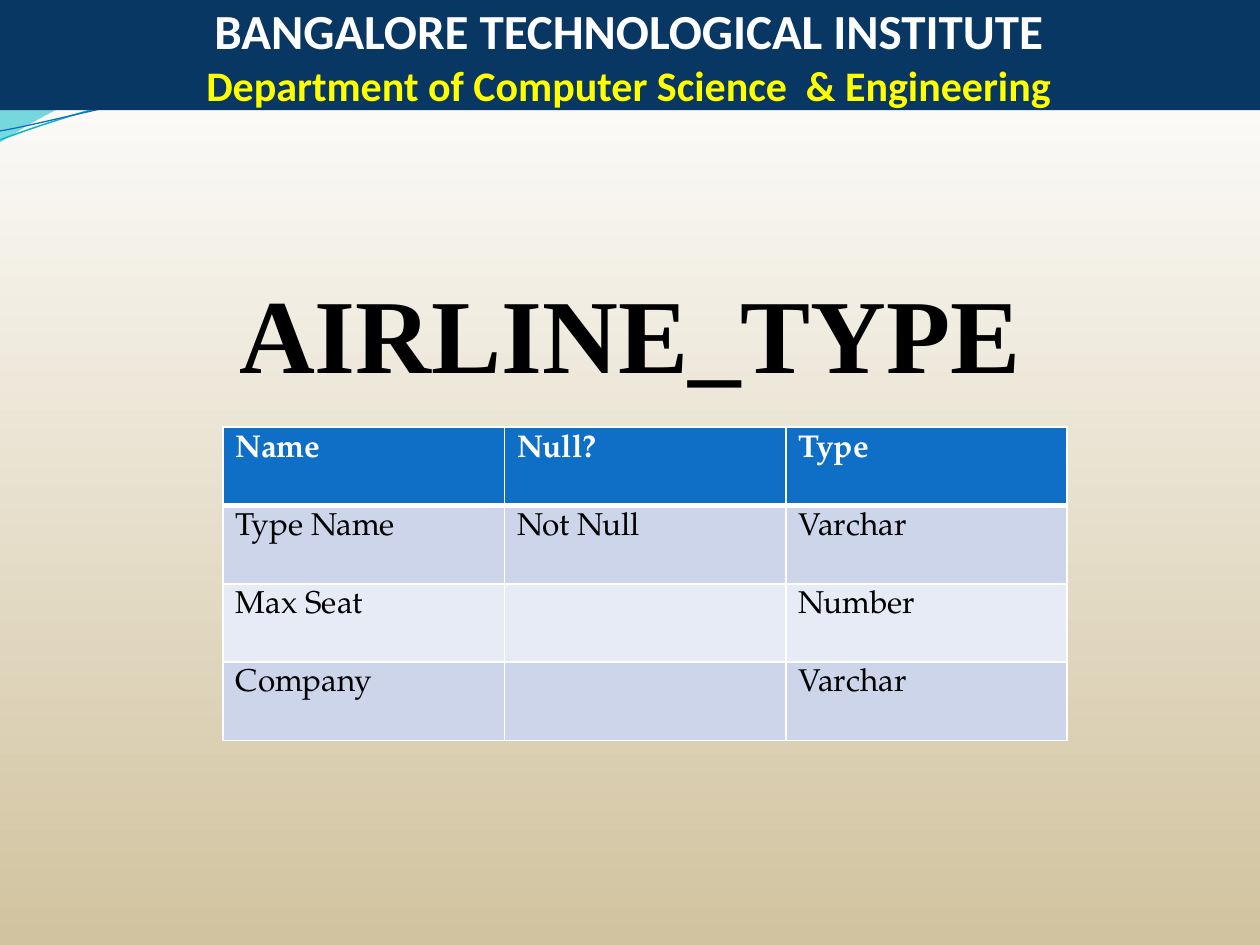
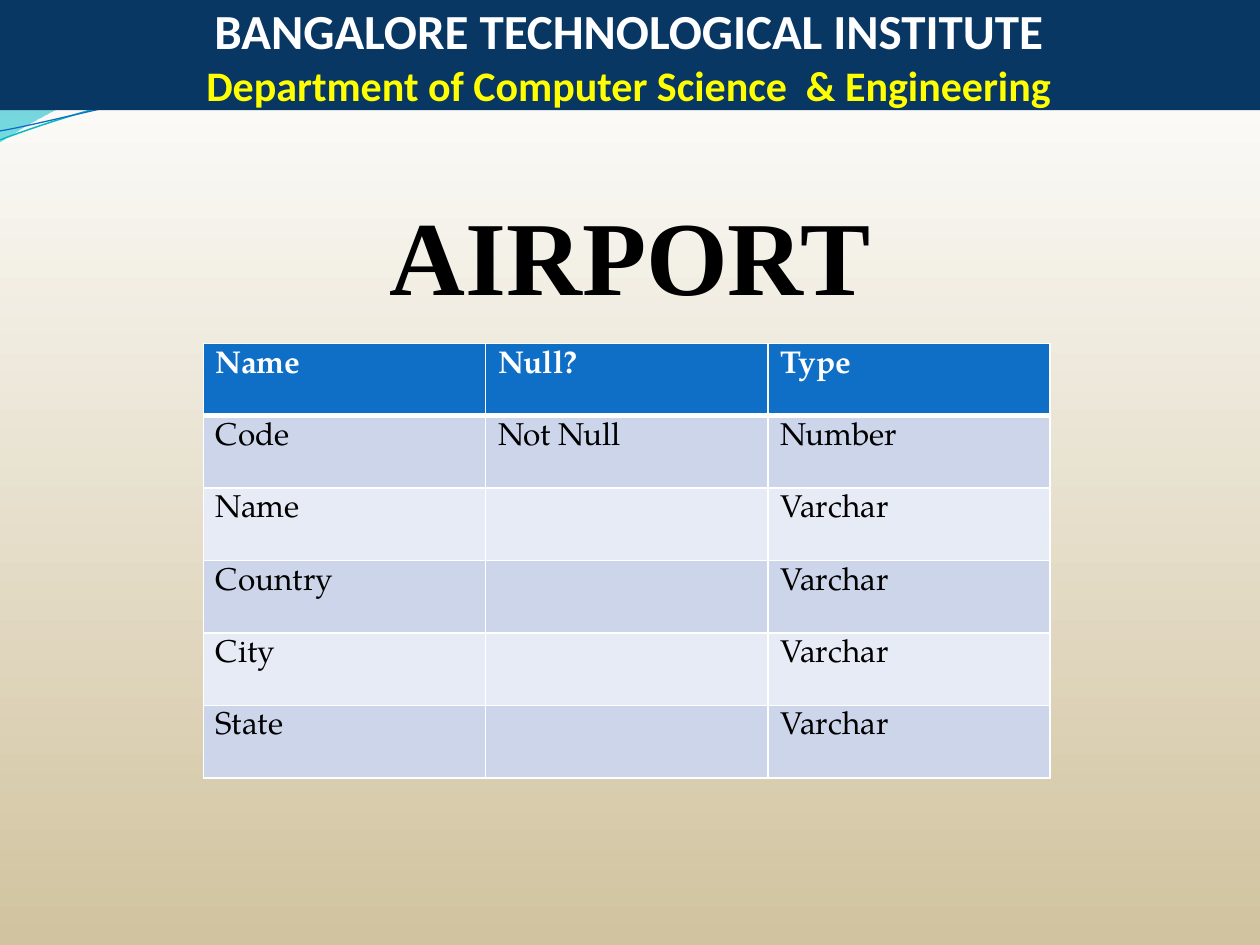
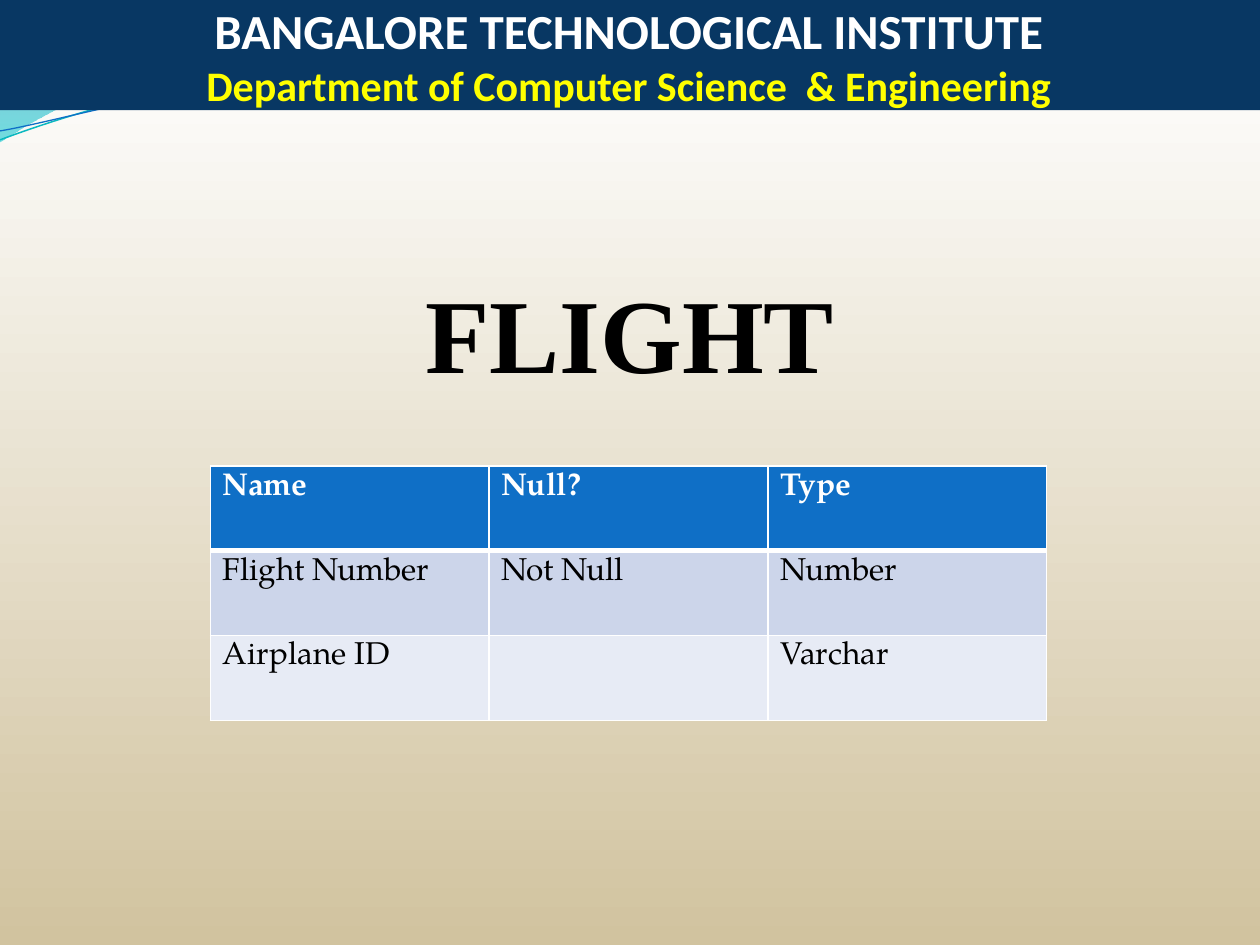
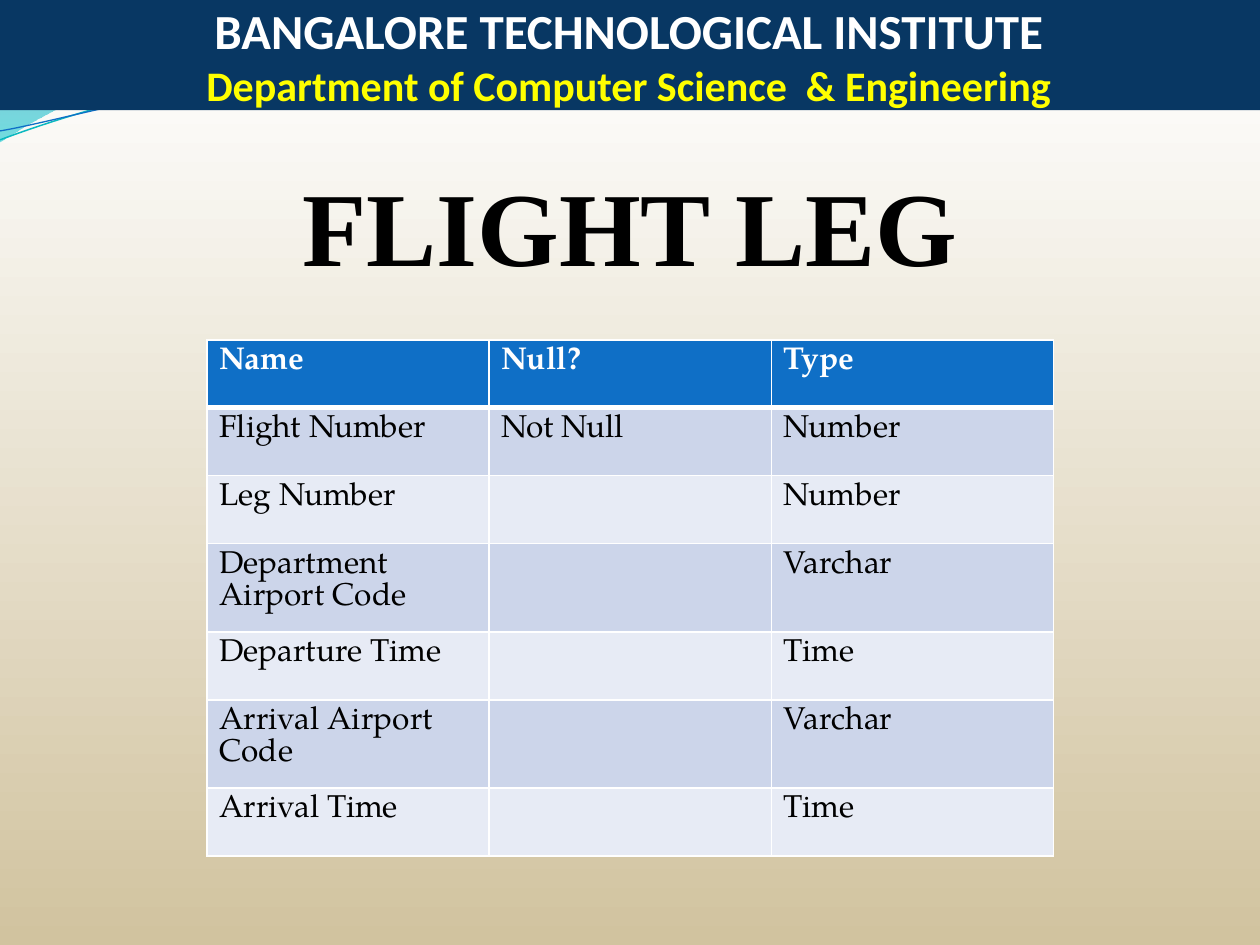
from lxml.etree import SubElement
from pptx import Presentation
from pptx.dml.color import RGBColor
from pptx.enum.shapes import MSO_SHAPE
from pptx.enum.text import MSO_ANCHOR, PP_ALIGN
from pptx.oxml import parse_xml
from pptx.oxml.ns import nsdecls, qn
from pptx.util import Cm, Pt

WHITE = RGBColor(0xFF, 0xFF, 0xFF)
BLACK = RGBColor(0, 0, 0)
SAND = RGBColor(0xD1, 0xC3, 0x9F)
NAVY = RGBColor(0x08, 0x37, 0x63)
YELLOW = RGBColor(0xFF, 0xFF, 0)
BLUE = RGBColor(0x0F, 0x6F, 0xC6)
TEAL = RGBColor(0x0A, 0xB8, 0xBF)
DEEP = RGBColor(0, 0x74, 0xA1)
AQUA = RGBColor(0, 0xC6, 0xCF)
GREEN = RGBColor(0, 0xA1, 0xA9)
SEA = RGBColor(0, 0x8B, 0xBF)
DARK = RGBColor(0xCC, 0xD5, 0xEA)
LIGHT = RGBColor(0xE7, 0xEB, 0xF5)

WIDTH, HEIGHT = Cm(25.4), Cm(19.05)
HEAD = ("Name", "Null?", "Type")

# Outlines in cm: a start, then line ends (2 numbers) or Bézier curves (6)
# Waves: gradient stops as colour, place and opacity in percent; outline
WAVES = [
    ([(DEEP, 0, 45), (AQUA, 1, 55)],
     [(0, 0), (11.18, -0.03),
      (12.09, 0.43, 16.87, 1.6, 19.25, 1.6),
      (21.67, 1.6, 24.33, 0.66, 25.4, 0.23), (25.43, 0.91),
      (24.97, 1.12, 22.1, 1.93, 18.95, 1.91),
      (15.8, 1.91, 9.7, 0.71, 6.53, 0.86),
      (3.28, 0.91, 1.17, 2.11, -0.03, 2.87)]),
    ([(GREEN, 0, 30), (SEA, 0.8, 45)],
     [(12.17, -0.03), (12.93, 0.28, 17.32, 1.57, 19.53, 1.65),
      (21.74, 1.75, 24.41, 0.81, 25.4, 0.53), (25.4, 0)]),
]
# Curves: colour, line width, outline before the turn
TURN = -2.7
CURVES = [
    (TEAL, 0.85, [(-0.05, 2.22), (1.19, 1.82, 4.02, 1.04, 7.05, 1.06),
                  (10.05, 1.07, 15.02, 2.37, 18.08, 2.29),
                  (21.13, 2.2, 23.86, 0.91, 25.41, 0.55)]),
    (BLUE, 0.75, [(-0.04, 2.04), (1.16, 1.9, 4.17, 1.15, 7.2, 1.16),
                  (10.25, 1.18, 15.13, 2.25, 18.19, 2.16),
                  (21.21, 2.1, 23.93, 1.06, 25.45, 0.75)]),
]

# Title, its top and height; table left, top, column width, row height; rows
PAGES = [
    ("AIRLINE_TYPE", 5.28, 5.38, 4.5, 8.61, 5.67, 1.58,
     [("Type Name", "Not Null", "Varchar"), ("Max Seat", "", "Number"),
      ("Company", "", "Varchar")]),
    ("AIRPORT", 3.72, 2.82, 4.1, 6.92, 5.69, 1.46,
     [("Code", "Not Null", "Number"), ("Name", "", "Varchar"),
      ("Country", "", "Varchar"), ("City", "", "Varchar"),
      ("State", "", "Varchar")]),
    ("FLIGHT", 5.28, 2.82, 4.24, 9.39, 5.62, 1.71,
     [("Flight Number", "Not Null", "Number"),
      ("Airplane ID", "", "Varchar")]),
    ("FLIGHT LEG", 3.13, 2.82, 4.17, 6.85, 5.69, 1.37,
     [("Flight Number", "Not Null", "Number"), ("Leg Number", "", "Number"),
      ("Department Airport Code", "", "Varchar"),
      ("Departure Time", "", "Time"),
      ("Arrival Airport Code", "", "Varchar"), ("Arrival Time", "", "Time")]),
]
TALL = 1.78  # row whose name takes two lines
LONG = 15  # most letters that fit on one line


def trace(slide, route, close):
    """Draw an outline through its end points, then bend its curved parts."""
    ends = [(Cm(part[-2]), Cm(part[-1])) for part in route]
    pen = slide.shapes.build_freeform(*ends[0])
    pen.add_line_segments(ends[1:], close=close)
    shape = pen.convert_to_shape()
    shape.shadow.inherit = False
    lines = list(shape.element.iter(qn("a:lnTo")))
    for line, part in zip(lines, route[1:]):
        if len(part) == 6:
            line.tag = qn("a:cubicBezTo")
            for spot, k in enumerate((0, 2)):
                knot = SubElement(line, qn("a:pt"))
                knot.set("x", str(Cm(part[k]) - shape.left))
                knot.set("y", str(Cm(part[k + 1]) - shape.top))
                line.insert(spot, knot)
    return shape


def style(font, name, size, color, bold):
    font.name, font.size, font.bold = name, Pt(size), bold
    font.color.rgb = color


deck = Presentation()
deck.slide_width, deck.slide_height = WIDTH, HEIGHT

for title, top, high, left, start, wide, tall, rows in PAGES:
    slide = deck.slides.add_slide(deck.slide_layouts[6])
    back = slide.background.fill
    back.gradient()
    back.gradient_angle = 270
    for stop, color, place in zip(back.gradient_stops, (WHITE, SAND), (0.03, 1)):
        stop.color.rgb, stop.position = color, place

    # Waves and curves under the band
    for stops, route in WAVES:
        wave = trace(slide, route, True)
        wave.line.fill.background()
        wave.fill.gradient()
        wave.fill.gradient_angle = 270
        for stop, (color, place, _) in zip(wave.fill.gradient_stops, stops):
            stop.color.rgb, stop.position = color, place
        tints = list(wave.element.spPr.iter(qn("a:srgbClr")))
        for tint, (_, _, alpha) in zip(tints, stops):
            SubElement(tint, qn("a:alpha")).set("val", str(alpha * 1000))
    for color, weight, route in CURVES:
        curve = trace(slide, route, False)
        curve.rotation = TURN
        curve.fill.background()
        curve.line.color.rgb = color
        curve.line.width = Pt(weight)

    # Band with the school's name
    band = slide.shapes.add_shape(MSO_SHAPE.RECTANGLE, 0, 0, WIDTH, Cm(2.22))
    band.shadow.inherit = False
    band.fill.solid()
    band.fill.fore_color.rgb = NAVY
    band.line.fill.background()
    frame = band.text_frame
    frame.margin_left = frame.margin_top = frame.margin_bottom = 0
    frame.margin_right = Cm(0.05)
    frame.vertical_anchor = MSO_ANCHOR.BOTTOM
    para = frame.paragraphs[0]
    para.text = ("BANGALORE TECHNOLOGICAL INSTITUTE\v"
                 "Department of Computer Science  & Engineering")
    para.alignment = PP_ALIGN.CENTER
    for run, size, color in zip(para.runs, (28, 24), (WHITE, YELLOW)):
        style(run.font, "Calibri", size, color, True)

    # Title
    box = slide.shapes.add_textbox(Cm(1.6), Cm(top), Cm(22.2), Cm(high))
    box.text_frame.word_wrap = True
    para = box.text_frame.paragraphs[0]
    para.text = title
    para.alignment = PP_ALIGN.CENTER
    style(para.runs[0].font, "Times New Roman", 60, BLACK, True)

    # Table of columns
    highs = [TALL if len(row[0]) > LONG else tall for row in [HEAD] + rows]
    table = slide.shapes.add_table(
        len(highs), len(HEAD), Cm(left), Cm(start),
        Cm(wide * len(HEAD)), Cm(sum(highs))).table
    table.horz_banding = False
    for column in table.columns:
        column.width = Cm(wide)
    for r, words in enumerate([HEAD] + rows):
        table.rows[r].height = Cm(highs[r])
        for c, word in enumerate(words):
            cell = table.cell(r, c)
            cell.fill.solid()
            cell.fill.fore_color.rgb = BLUE if r == 0 else DARK if r % 2 else LIGHT
            para = cell.text_frame.paragraphs[0]
            para.text = word
            para.line_spacing = Pt(18.3)
            style(para.font, "TeX Gyre Pagella", 18, BLACK, False)
            for run in para.runs:
                style(run.font, "TeX Gyre Pagella", 18,
                      BLACK if r else WHITE, r == 0)
            edges = {"L": 1, "R": 1, "T": 3 if r == 1 else 1,
                     "B": 1 if r else 3}
            for spot, (side, weight) in enumerate(edges.items()):
                cell._tc.tcPr.insert(spot, parse_xml(
                    f'<a:ln{side} {nsdecls("a")} w="{Pt(weight)}"><a:solidFill>'
                    f'<a:srgbClr val="{WHITE}"/></a:solidFill></a:ln{side}>'))

deck.save("out.pptx")
